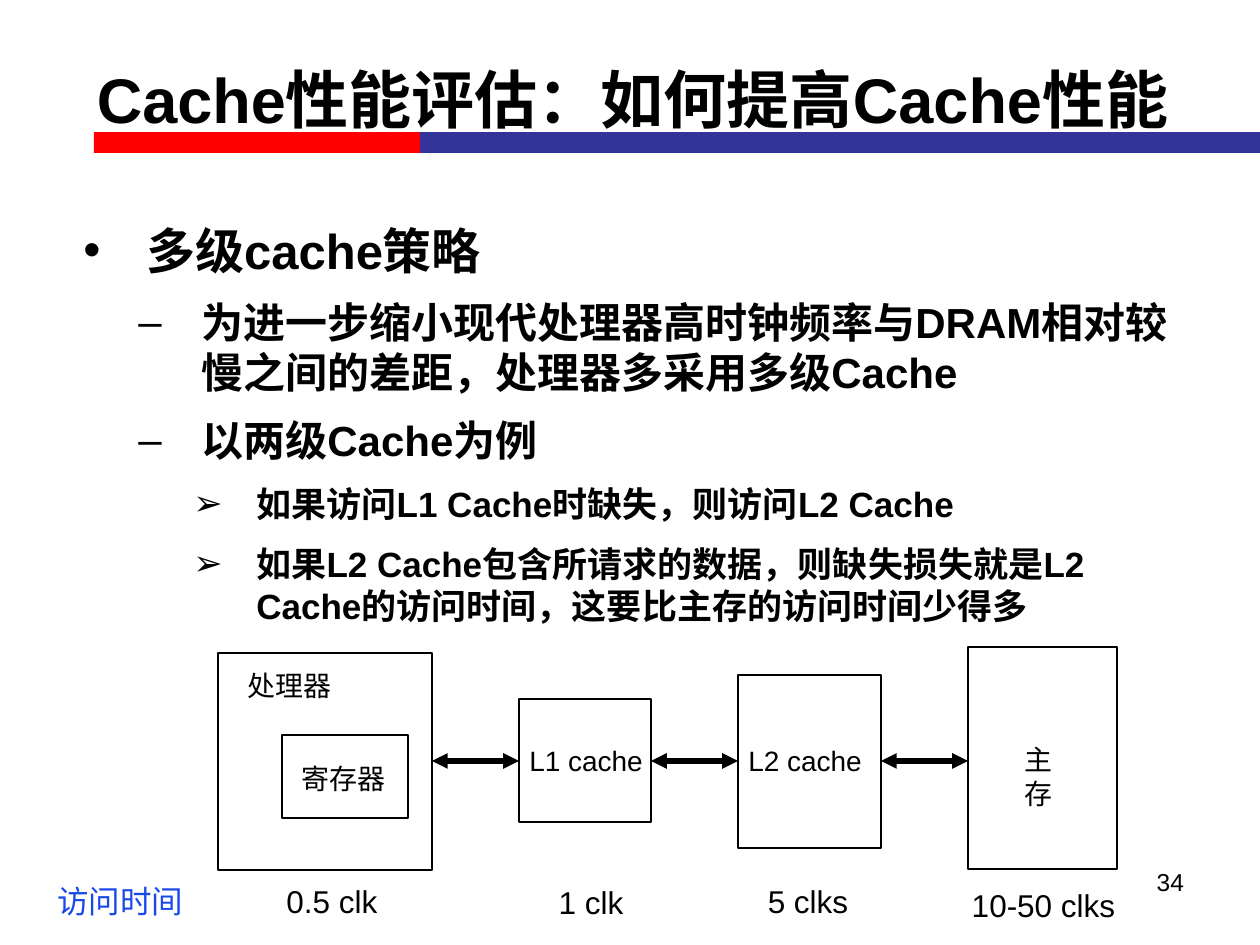
from lxml import etree
from pptx import Presentation
from pptx import util as u
from pptx.dml.color import RGBColor
from pptx.enum import shapes, text
from pptx.oxml.ns import qn

PX_PER_INCH = 126


class Theme:
    font = "Arial"
    black = RGBColor(0x00, 0x00, 0x00)
    white = RGBColor(0xFF, 0xFF, 0xFF)
    red = RGBColor(0xFF, 0x00, 0x00)
    navy = RGBColor(0x33, 0x33, 0x99)
    blue = RGBColor(0x1A, 0x49, 0xEA)
    title, number, label, time = 36, 14, 16, 18
    levels = (28, 24, 20)


TITLE = "Cache性能评估：如何提高Cache性能"
PAGE_NUMBER = "34"
BULLETS = "•–➢"
INDENTS = (71, 126, 181)  # px, one per level
HANGING = 63
OUTLINE = [
    (0, "多级cache策略"),
    (1, "为进一步缩小现代处理器高时钟频率与DRAM相对较慢之间的差距，处理器多采用多级Cache"),
    (1, "以两级Cache为例"),
    (2, "如果访问L1 Cache时缺失，则访问L2 Cache"),
    (2, "如果L2 Cache包含所请求的数据，则缺失损失就是L2 Cache的访问时间，这要比主存的访问时间少得多"),
]
STRIPES = [((94, 132, 326, 21), Theme.red), ((420, 132, 840, 21), Theme.navy)]

# Memory hierarchy: box, label, label box
BLOCKS = [
    ((218, 653, 214, 217), "处理器", (234, 663, 111, 46)),
    ((519, 699, 132, 123), "L1 cache", (516, 738, 140, 46)),
    ((738, 675, 143, 173), "L2 cache", (735, 738, 140, 46)),
    ((968, 647, 149, 222), "主存", (998, 737, 81, 46)),
]
REGISTERS = ((282, 735, 126, 83), "寄存器", (288, 756, 111, 46))
BUS_Y = 761

TIMES = [
    ("访问时间", (42, 874, 156, 53), Theme.blue),
    ("0.5 clk", (268, 874, 128, 53), Theme.black),
    ("1 clk", (540, 875, 102, 53), Theme.black),
    ("5 clks", (753, 874, 110, 53), Theme.black),
    ("10-50 clks", (957, 878, 173, 53), Theme.black),
]


def px(value):
    return u.Emu(round(value * u.Inches(1) / PX_PER_INCH))


def format_paragraph(paragraph, size, color=Theme.black, bold=False):
    for run in paragraph.runs:
        run.font.name = Theme.font
        run.font.size = u.Pt(size)
        run.font.bold = bold
        run.font.color.rgb = color


def add_rectangle(slide, box, fill, outlined=False):
    shape = slide.shapes.add_shape(shapes.MSO_SHAPE.RECTANGLE, *map(px, box))
    shape.shadow.inherit = False
    shape.fill.solid()
    shape.fill.fore_color.rgb = fill
    if outlined:
        shape.line.color.rgb = Theme.black
        shape.line.width = u.Pt(1.5)
    else:
        shape.line.fill.background()


def add_label(slide, words, box, size, color=Theme.black,
              align=text.PP_ALIGN.CENTER, inset=(13, 6)):
    frame = slide.shapes.add_textbox(*map(px, box)).text_frame
    frame.word_wrap = False
    frame.margin_left = frame.margin_right = px(inset[0])
    frame.margin_top = frame.margin_bottom = px(inset[1])
    frame.text = words
    frame.paragraphs[0].alignment = align
    format_paragraph(frame.paragraphs[0], size, color)


def add_block(slide, box, label, label_box):
    add_rectangle(slide, box, Theme.white, outlined=True)
    add_label(slide, label, label_box, Theme.label)


def add_bus(slide, left, right):
    """Draw a double-headed arrow between two neighbouring blocks."""
    connector = slide.shapes.add_connector(
        shapes.MSO_CONNECTOR.STRAIGHT, px(left), px(BUS_Y), px(right), px(BUS_Y))
    connector.line.color.rgb = Theme.black
    connector.line.width = u.Pt(3)
    line = connector.line._get_or_add_ln()
    for end in ("a:headEnd", "a:tailEnd"):
        etree.SubElement(line, qn(end), type="triangle")
    etree.SubElement(connector._element.spPr, qn("a:effectLst"))


def add_title(slide):
    title = slide.shapes.title
    title.left, title.top, title.width, title.height = map(px, (20, 19, 1225, 158))
    frame = title.text_frame
    frame.text = TITLE
    frame.word_wrap = True
    frame.vertical_anchor = text.MSO_ANCHOR.MIDDLE
    frame.paragraphs[0].alignment = text.PP_ALIGN.CENTER
    format_paragraph(frame.paragraphs[0], Theme.title, bold=True)


def add_outline(slide):
    frame = slide.shapes.add_textbox(*map(px, (63, 214, 1134, 421))).text_frame
    frame.word_wrap = True
    for index, (level, words) in enumerate(OUTLINE):
        paragraph = frame.add_paragraph() if index else frame.paragraphs[0]
        paragraph.text = words
        paragraph.level = level
        if index:
            paragraph.space_before = u.Pt(10)
        properties = paragraph._p.get_or_add_pPr()
        properties.set("marL", str(px(INDENTS[level])))
        properties.set("indent", str(px(-HANGING)))
        etree.SubElement(properties, qn("a:buFont"), typeface=Theme.font)
        etree.SubElement(properties, qn("a:buChar"), char=BULLETS[level])
        format_paragraph(paragraph, Theme.levels[level], bold=True)


def main():
    presentation = Presentation()
    presentation.slide_width = u.Inches(10)
    presentation.slide_height = u.Inches(7.5)
    slide = presentation.slides.add_slide(presentation.slide_layouts[5])

    for box, color in STRIPES:
        add_rectangle(slide, box, color)
    add_title(slide)
    add_outline(slide)
    add_label(slide, PAGE_NUMBER, (903, 861, 294, 66), Theme.number,
              align=text.PP_ALIGN.RIGHT)

    for block in BLOCKS:
        add_block(slide, *block)
    add_block(slide, *REGISTERS)
    for (near, *_), (far, *_) in zip(BLOCKS, BLOCKS[1:]):
        add_bus(slide, near[0] + near[2], far[0])

    for words, box, color in TIMES:
        add_label(slide, words, box, Theme.time, color, inset=(14, 8))

    presentation.save("out.pptx")


if __name__ == "__main__":
    main()
